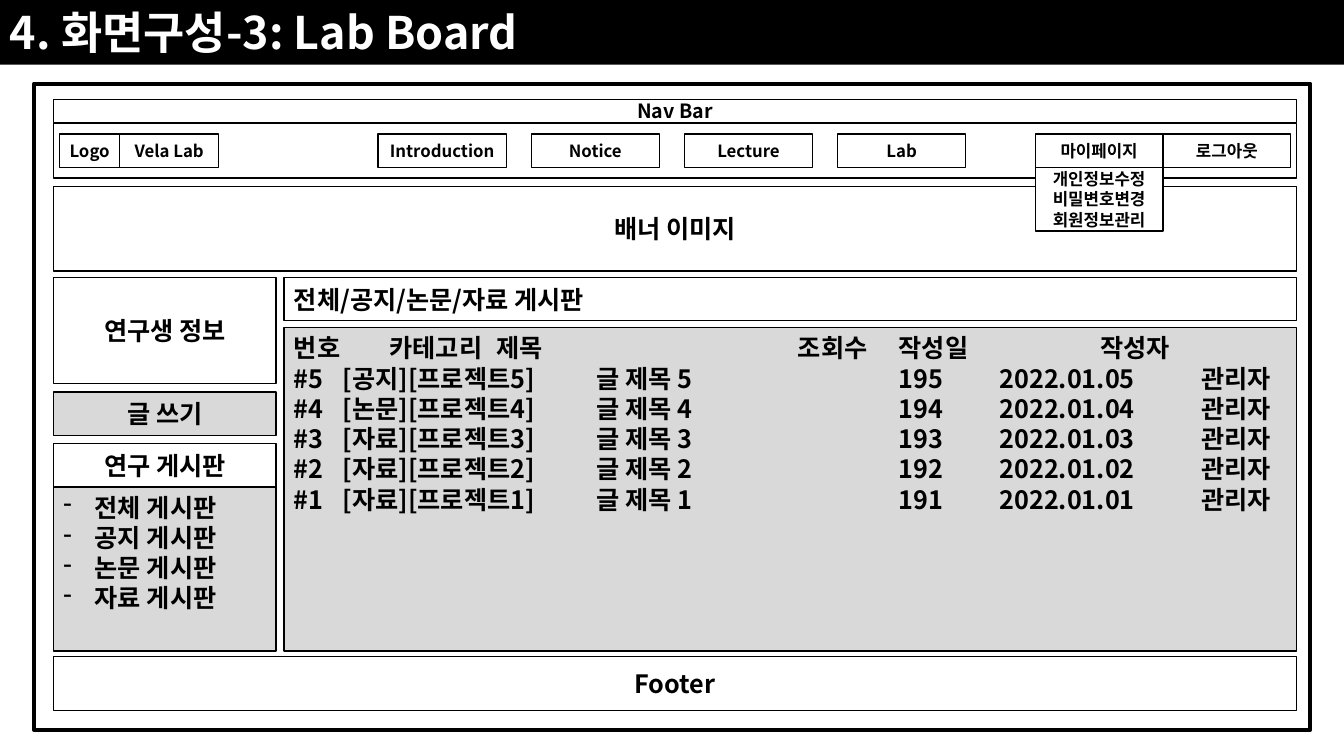
from dataclasses import dataclass
from typing import Any, Sequence

import lxml.etree
import pptx
import pptx.dml.color
import pptx.enum.shapes
import pptx.enum.text
import pptx.oxml.ns
import pptx.util

Cm = pptx.util.Cm
Anchor = pptx.enum.text.MSO_ANCHOR
Align = pptx.enum.text.PP_ALIGN


@dataclass(frozen=True)
class Theme:
    font: str = "Noto Sans CJK KR"
    black: str = "000000"
    white: str = "FFFFFF"
    gray: str = "D9D9D9"
    title: float = 32
    body: float = 18
    bar: float = 14
    menu: float = 12
    line_height: float = 1.2
    border: float = 1
    frame_border: float = 3


THEME = Theme()


@dataclass(frozen=True)
class Box:
    """A rectangle in centimetres, with optional centred text."""
    left: float
    top: float
    width: float
    height: float
    text: str = ""
    size: float = THEME.body
    fill: str = THEME.white
    border: float = THEME.border


SLIDE_WIDTH, SLIDE_HEIGHT = 33.87, 19.05
PAGE_LEFT, PAGE_WIDTH = 1.35, 31.32
SIDE_WIDTH = 5.61
BOARD_LEFT, BOARD_WIDTH = 7.16, 25.51
HEADING_HEIGHT = 1.09
MENU_TOP, MENU_HEIGHT = 3.38, 0.84
MENU_LEFT, MENU_PITCH, MENU_WIDTH = 9.53, 3.86, 3.23
ACCOUNT_LEFT, ACCOUNT_WIDTH = 26.09, 3.22
BULLET_INDENT = 0.79
HEADER_TABS = (2.41, 5.11, 12.7, 15.24, 20.32)
POST_TABS = (1.23, 7.62, 15.24, 17.78, 22.86)

HEADER = ("번호", "카테고리", "제목", "조회수", "작성일", "작성자")
POST_CATEGORIES = {5: "공지", 4: "논문", 3: "자료", 2: "자료", 1: "자료"}
BOARDS = ("전체 게시판", "공지 게시판", "논문 게시판", "자료 게시판")


def menu_box(left: float, width: float, text: str) -> Box:
    return Box(left, MENU_TOP, width, MENU_HEIGHT, text, THEME.menu)


FRAME = Box(0.86, 2.11, 32.16, 16.28, border=THEME.frame_border)
TITLE = Box(0, 0, SLIDE_WIDTH, 1.63, fill=THEME.black, border=0)
PAGE_BOXES = [
    Box(PAGE_LEFT, 3.12, PAGE_WIDTH, 1.37),
    Box(PAGE_LEFT, 4.7, PAGE_WIDTH, 2.13, "배너 이미지"),
    Box(PAGE_LEFT, 16.54, PAGE_WIDTH, 1.37, "Footer"),
    Box(PAGE_LEFT, 2.51, PAGE_WIDTH, 0.58, "Nav Bar", THEME.bar),
    menu_box(1.5, 1.52, "Logo"),
    menu_box(3.02, 2.49, "Vela Lab"),
    *(menu_box(MENU_LEFT + index * MENU_PITCH, MENU_WIDTH, label)
      for index, label in enumerate(("Introduction", "Notice", "Lecture", "Lab"))),
]
ACCOUNT_BOXES = [
    menu_box(ACCOUNT_LEFT, ACCOUNT_WIDTH, "마이페이지"),
    menu_box(ACCOUNT_LEFT + ACCOUNT_WIDTH, ACCOUNT_WIDTH, "로그아웃"),
    Box(ACCOUNT_LEFT, MENU_TOP + MENU_HEIGHT, ACCOUNT_WIDTH, 1.6,
        "개인정보수정\n비밀변호변경\n회원정보관리", THEME.menu),
]
SIDE_BOXES = [
    Box(PAGE_LEFT, 6.99, SIDE_WIDTH, 2.67, "연구생 정보"),
    Box(PAGE_LEFT, 9.88, SIDE_WIDTH, HEADING_HEIGHT, "글 쓰기", fill=THEME.gray),
    Box(PAGE_LEFT, 11.18, SIDE_WIDTH, HEADING_HEIGHT, "연구 게시판"),
]
BOARD_LIST = Box(PAGE_LEFT, 12.27, SIDE_WIDTH, 4.14, fill=THEME.gray)
BOARD_HEADING = Box(BOARD_LEFT, 6.99, BOARD_WIDTH, HEADING_HEIGHT)
POST_LIST = Box(BOARD_LEFT, 8.26, BOARD_WIDTH, 8.15, fill=THEME.gray)


def rgb(color: str) -> pptx.dml.color.RGBColor:
    return pptx.dml.color.RGBColor.from_string(color)


def add_child(parent: Any, tag: str, **attributes: Any) -> Any:
    values = {name: str(value) for name, value in attributes.items()}
    return lxml.etree.SubElement(parent, pptx.oxml.ns.qn(tag), values)


def write_paragraph(paragraph: Any, text: str, *, size: float = THEME.body,
                    color: str = THEME.black, align: Any = Align.LEFT,
                    bullet: str = "", tabs: Sequence[float] = ()) -> None:
    paragraph.alignment = align
    paragraph.line_spacing = pptx.util.Pt(size * THEME.line_height)
    properties = paragraph._p.get_or_add_pPr()
    if bullet:
        indent = Cm(BULLET_INDENT)
        properties.set("marL", str(indent))
        properties.set("indent", str(-indent))
        add_child(properties, "a:buChar", char=bullet)
    if tabs:
        tab_list = add_child(properties, "a:tabLst")
        for position in tabs:
            add_child(tab_list, "a:tab", pos=Cm(position), algn="l")
    run = paragraph.add_run()
    run.text = text
    run.font.name = THEME.font
    run.font.size = pptx.util.Pt(size)
    run.font.bold = True
    run.font.color.rgb = rgb(color)
    add_child(run._r.get_or_add_rPr(), "a:ea", typeface=THEME.font)


def next_paragraph(shape: Any) -> Any:
    """Return the empty first paragraph, or a new one after existing text."""
    frame = shape.text_frame
    return frame.add_paragraph() if frame.text else frame.paragraphs[0]


def add_box(shapes: Any, box: Box, anchor: Any = Anchor.MIDDLE) -> Any:
    shape = shapes.add_shape(pptx.enum.shapes.MSO_SHAPE.RECTANGLE, Cm(box.left),
                             Cm(box.top), Cm(box.width), Cm(box.height))
    shape.shadow.inherit = False
    shape.fill.solid()
    shape.fill.fore_color.rgb = rgb(box.fill)
    if box.border:
        shape.line.color.rgb = rgb(THEME.black)
        shape.line.width = pptx.util.Pt(box.border)
    else:
        shape.line.fill.background()
    shape.text_frame.word_wrap = True
    shape.text_frame.vertical_anchor = anchor
    for text in box.text.splitlines():
        write_paragraph(next_paragraph(shape), text, size=box.size, align=Align.CENTER)
    return shape


def add_post_list(shapes: Any) -> None:
    shape = add_box(shapes, POST_LIST, Anchor.TOP)
    write_paragraph(next_paragraph(shape), "\t".join(HEADER), tabs=HEADER_TABS)
    for number, category in POST_CATEGORIES.items():
        fields = (f"#{number}", f"[{category}][프로젝트{number}]", f"글 제목 {number}",
                  f"{190 + number}", f"2022.01.{number:02}", "관리자")
        write_paragraph(next_paragraph(shape), "\t".join(fields), tabs=POST_TABS)


def main() -> None:
    presentation = pptx.Presentation()
    presentation.slide_width = Cm(SLIDE_WIDTH)
    presentation.slide_height = Cm(SLIDE_HEIGHT)
    slide = presentation.slides.add_slide(presentation.slide_layouts[6])
    shapes = slide.shapes

    add_box(shapes, FRAME)
    title = add_box(shapes, TITLE, Anchor.TOP)
    write_paragraph(next_paragraph(title), "4. 화면구성-3: Lab Board",
                    size=THEME.title, color=THEME.white)
    for box in PAGE_BOXES:
        add_box(shapes, box)
    account_menu = shapes.add_group_shape()
    for box in ACCOUNT_BOXES:
        add_box(account_menu.shapes, box)
    for box in SIDE_BOXES:
        add_box(shapes, box)
    add_post_list(shapes)
    board_list = add_box(shapes, BOARD_LIST, Anchor.TOP)
    for board in BOARDS:
        write_paragraph(next_paragraph(board_list), board, bullet="-")
    heading = add_box(shapes, BOARD_HEADING)
    write_paragraph(next_paragraph(heading), "전체/공지/논문/자료 게시판")
    presentation.save("out.pptx")


if __name__ == "__main__":
    main()
